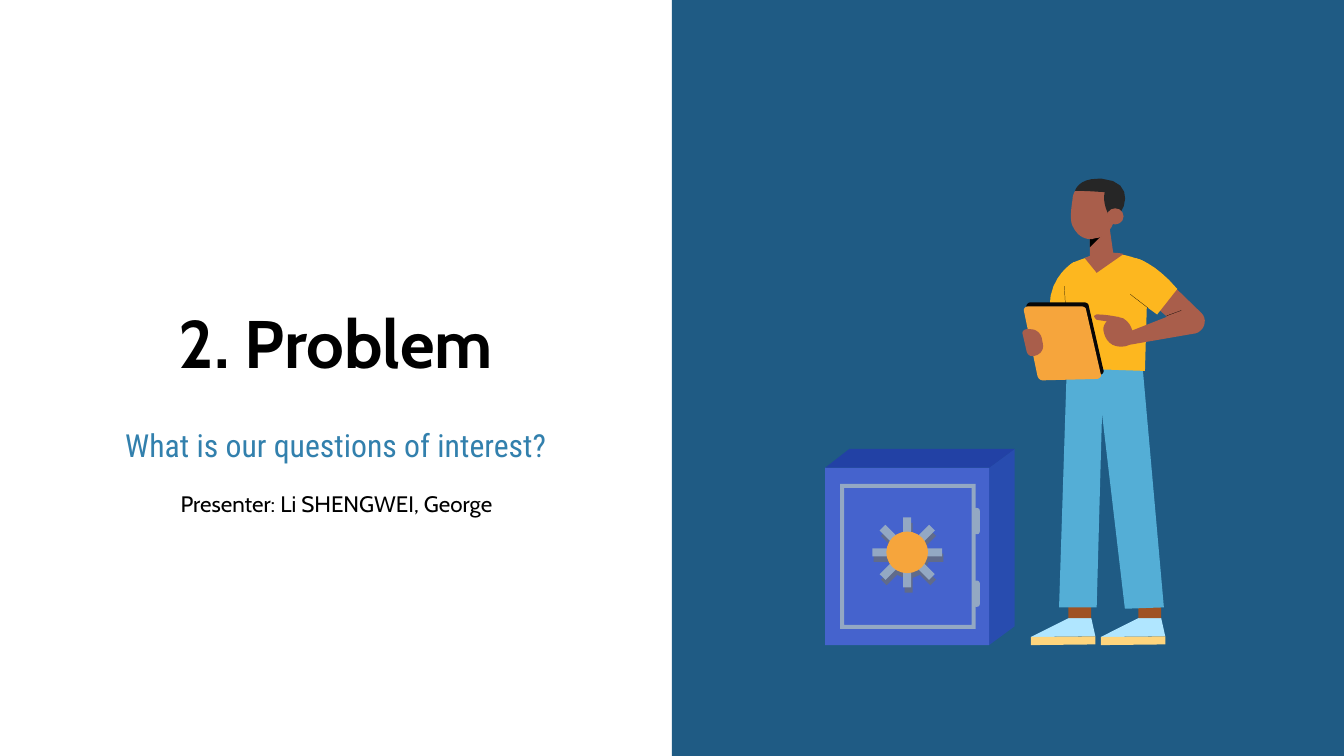
import math

import lxml.etree
import pptx
import pptx.dml.color
import pptx.enum.shapes
import pptx.enum.text
import pptx.oxml.ns
import pptx.util

RGB = pptx.dml.color.RGBColor
SHAPE = pptx.enum.shapes.MSO_SHAPE
ANCHOR = pptx.enum.text.MSO_ANCHOR

BLACK = RGB(0x00, 0x00, 0x00)
PANEL = RGB(0x1F, 0x5B, 0x84)
SUBTITLE = RGB(0x32, 0x80, 0xAD)
SKIN = RGB(0xA9, 0x5E, 0x4B)
HAIR = RGB(0x26, 0x26, 0x26)
SHIRT = RGB(0xFD, 0xB7, 0x1F)
TROUSERS = RGB(0x54, 0xAE, 0xD6)
ANKLE = RGB(0x9F, 0x52, 0x23)
SHOE = RGB(0xB0, 0xE6, 0xFF)
SOLE = RGB(0xFE, 0xD5, 0x7D)
TABLET_EDGE = RGB(0x07, 0x07, 0x07)
ORANGE = RGB(0xF6, 0xA5, 0x3C)
SAFE_FRONT = RGB(0x45, 0x63, 0xCD)
SAFE_SIDE = RGB(0x28, 0x4C, 0xAF)
SAFE_TOP = RGB(0x22, 0x41, 0xA5)
STEEL = RGB(0x93, 0xA8, 0xC3)
STEEL_SHADE = RGB(0x60, 0x6B, 0x8B)

# The grid has square cells: 100 columns by 56.25 rows
COLUMNS, ROWS = 100, 56.25
CELL = pptx.util.Inches(0.1)
CURVE_STEPS = 8


def cells(*values):
    return [round(value * CELL) for value in values]


def flatten(points):
    """Turn (x, y) corners and (x1, y1, x2, y2, x, y) curves into corners."""
    corners = [points[0]]
    for point in points[1:]:
        if len(point) == 2:
            corners.append(point)
            continue
        controls = [corners[-1], point[:2], point[2:4], point[4:]]
        for step in range(1, CURVE_STEPS + 1):
            t = step / CURVE_STEPS
            weights = [math.comb(3, k) * t**k * (1 - t) ** (3 - k) for k in range(4)]
            corners.append(tuple(sum(w * c[axis] for w, c in zip(weights, controls))
                                 for axis in (0, 1)))
    return corners


class Page:
    FRAME = {"word_wrap": True, "auto_size": pptx.enum.text.MSO_AUTO_SIZE.NONE,
             **{f"margin_{side}": CELL for side in ("left", "top", "right", "bottom")}}
    PARA = {"alignment": pptx.enum.text.PP_ALIGN.CENTER, "line_spacing": 1.0,
            "space_before": 0, "space_after": 0}

    def __init__(self, deck):
        self.slide = deck.slides.add_slide(deck.slide_layouts[0])
        self.shapes = self.slide.shapes

    def fill_text(self, box, place, text, font, size, color, anchor, bold=False):
        box.left, box.top, box.width, box.height = cells(*place)
        frame = box.text_frame
        frame.text = text
        para = frame.paragraphs[0]
        style = {"name": font, "size": pptx.util.Pt(size), "bold": bold}
        for target, values in ((frame, {**self.FRAME, "vertical_anchor": anchor}),
                               (para, self.PARA), (para.font, style)):
            for name, value in values.items():
                setattr(target, name, value)
        para.font.color.rgb = color

    def label(self, place, *style):
        self.fill_text(self.shapes.add_textbox(*cells(*place)), place, *style)

    def paint(self, shape, color):
        shape.shadow.inherit = False
        shape.fill.solid()
        shape.fill.fore_color.rgb = color
        shape.line.fill.background()
        return shape

    def preset(self, kind, place, color, rotation=0, adjust=None):
        shape = self.paint(self.shapes.add_shape(kind, *cells(*place)), color)
        shape.rotation = rotation
        if adjust is not None:
            shape.adjustments[0] = adjust

    def outline(self, color, *points):
        start, *rest = [tuple(cells(*corner)) for corner in flatten(points)]
        builder = self.shapes.build_freeform(*start)
        builder.add_line_segments(rest, close=True)
        self.paint(builder.convert_to_shape(), color)

    def crease(self, *ends):
        line = self.shapes.add_connector(pptx.enum.shapes.MSO_CONNECTOR.STRAIGHT, *cells(*ends))
        line.line.color.rgb = BLACK
        line.line.width = pptx.util.Pt(0.1)
        lxml.etree.SubElement(line._element.spPr, pptx.oxml.ns.qn("a:effectLst"))


def draw_legs(page):
    for x in (81.9, 76.7):
        page.outline(SHOE, (x + 4.5, 46), (x + 4.8, 47.35), (x, 47.4), (x + 2.8, 46))
        page.outline(SOLE, (x + 4.8, 47.35), (x + 4.8, 47.95), (x, 48), (x, 47.4))
        page.preset(SHAPE.RECTANGLE, (x + 2.8, 43.7, 1.7, 2.3), ANKLE)
    page.outline(TROUSERS, (79.4, 26.6), (83.8, 26.9), (85, 27.1), (86.6, 45.2),
                 (83.7, 45.3), (82, 30.8), (81.6, 45.2), (78.8, 45.2))


def draw_torso(page):
    page.outline(SHIRT, (79.9, 19.5), (80.2, 23.6), (78.1, 22.8),
                 (78.1, 20.5, 79.9, 19.5, 79.9, 19.5))
    page.outline(SHIRT, (82.3, 18.8), (82.6, 18.8), (83.3, 18.9, 84, 19, 84.7, 19.3),
                 (84.9, 19.3, 85, 19.4, 85.2, 19.5), (85.6, 19.7, 85.5, 20.2, 85.4, 20.7),
                 (85.2, 27.6), (79.4, 27.4), (79.1, 20.9),
                 (79.1, 20.2, 79.5, 19.6, 80.2, 19.4), (81, 19.1, 81.9, 18.8, 82.3, 18.8))
    page.crease(79.3, 23.3, 79.2, 21.3)
    page.outline(SKIN, (82.4, 18.8), (82.8, 18.8, 83.2, 18.8, 83.6, 18.9),
                 (81.6, 20.3), (80.7, 19.2), (80.7, 19.2, 81.6, 18.8, 82.3, 18.8))


def draw_tablet(page):
    for color, x, y in ((TABLET_EDGE, 76.3, 22.5), (ORANGE, 76.1, 22.8)):
        page.outline(color, (x + 4.4, y), (x + 4.5, y, x + 4.7, y + 0.1, x + 4.7, y + 0.2),
                     (x + 5.8, y + 5), (x + 5.9, y + 5.2, x + 5.7, y + 5.4, x + 5.5, y + 5.4),
                     (x + 1.5, y + 5.5), (x + 1.3, y + 5.5, x + 1.2, y + 5.4, x + 1.1, y + 5.2),
                     (x + 0.1, y + 0.4), (x, y + 0.2, x + 0.2, y, x + 0.4, y))
    page.outline(SKIN, (76.4, 24.5), (76.7, 24.5), (77.1, 24.5, 77.4, 24.8, 77.5, 25.1),
                 (77.6, 25.6), (77.7, 26.1, 77.3, 26.5, 76.8, 26.5),
                 (76.6, 26.5, 76.5, 26.4, 76.4, 26.2), (76.1, 24.9),
                 (76, 24.7, 76.2, 24.5, 76.4, 24.5))


def draw_arm(page):
    page.outline(SKIN, (85.3, 19.8), (85.6, 19.8, 86, 19.9, 86.2, 20.2), (89.4, 23.3),
                 (89.8, 23.7, 89.7, 24.4, 89.2, 24.7), (89.1, 24.8, 88.9, 24.8, 88.7, 24.8),
                 (88.5, 24.8, 88.2, 24.7, 88, 24.6), (84.6, 21.6),
                 (84.1, 21.1, 84.2, 20.4, 84.7, 20), (84.9, 19.8, 85.1, 19.8, 85.3, 19.8))
    page.outline(SHIRT, (84.5, 19.2), (84.5, 19.2, 85.9, 19.5, 87.6, 21.5),
                 (86.1, 23.4), (83.9, 21.8))
    page.crease(85.4, 22.9, 84.1, 21.9)
    # Hand, pointing finger and forearm
    page.outline(SKIN, (83, 23.6), (83.2, 23.6, 83.3, 23.6, 83.6, 23.7),
                 (84.4, 24.2, 84.3, 25.1, 84.3, 25.1), (84.3, 25.1, 84.4, 25.8, 83.4, 25.8),
                 (82.4, 25.8, 82.1, 24.9, 82.1, 24.4), (82.2, 24, 82.5, 23.6, 83, 23.6))
    page.outline(SKIN, (81.6, 23.4), (82.2, 23.4, 82.7, 23.5, 83.3, 23.6), (82.9, 24),
                 (81.6, 23.8), (81.5, 23.7, 81.4, 23.6, 81.4, 23.5),
                 (81.5, 23.5, 81.5, 23.4, 81.6, 23.4))
    page.outline(SKIN, (88.3, 23), (89, 24.8), (83.8, 25.7), (83.2, 25))
    page.crease(86.8, 23.5, 87.9, 23.1)


def draw_head(page):
    page.outline(SKIN, (82.5, 16.5), (82.9, 19.3), (81.1, 19.5), (81.1, 17.3))
    page.outline(BLACK, (82.2, 17.3), (81.1, 18.4), (81.1, 17.4))
    page.outline(SKIN, (81.3, 13.6), (82.2, 13.6, 83.1, 14.4, 83, 16),
                 (82.8, 17.5, 81.7, 17.7, 81.7, 17.7), (81.5, 17.7, 81.3, 17.8, 81.2, 17.8),
                 (80.5, 17.8, 80.1, 17.4, 79.8, 16.8), (79.6, 16.4, 79.7, 15.5, 79.8, 14.9),
                 (79.8, 14.4, 80.1, 13.9, 80.6, 13.7), (80.8, 13.6, 81.1, 13.6, 81.3, 13.6))
    page.outline(HAIR, (81.7, 13.3), (82, 13.3), (84.6, 13.5, 83.8, 16, 82.6, 16.5),
                 (82.5, 16), (82.5, 16, 82, 15.1, 82.2, 14.3),
                 (82.2, 14.3, 80.9, 14.2, 80, 14.2), (80, 14.2, 80.2, 13.3, 81.7, 13.3))
    page.preset(SHAPE.OVAL, (82.35, 15.5, 1.25, 1.2), SKIN)


def draw_safe(page):
    left, right, back = 61.4, 73.6, 75.5
    rear, top, bottom = 33.4, 34.8, 48
    page.outline(SAFE_SIDE, (back, rear), (right, top), (right, bottom), (back, 46.6))
    page.preset(SHAPE.RECTANGLE, (left, top, right - left, bottom - top), SAFE_FRONT)
    page.outline(SAFE_TOP, (63.2, rear), (left, top), (right, top), (back, rear))

    # Door frame and hinges
    page.preset(SHAPE.FRAME, (62.5, 36, 10.1, 10.8), STEEL, adjust=0.03)
    for y in (37.8, 43.2):
        page.preset(SHAPE.ROUNDED_RECTANGLE, (72.4, y, 0.5, 1.95), STEEL, adjust=0.4)

    # Wheel: shaded silhouette, four crossing bars, hub
    x, y, length, thickness = 67.5, 41.1, 5.2, 0.6
    half, reach, root = thickness / 2, length / 2, 1.5
    silhouette = []
    for turn in range(8):
        cos, sin = math.cos(turn * math.pi / 4), math.sin(turn * math.pi / 4)
        silhouette += [(x + 0.1 + u * cos - v * sin, y + 0.4 + u * sin + v * cos)
                       for u, v in ((root, -half), (reach, -half), (reach, half), (root, half))]
    page.outline(STEEL_SHADE, *silhouette)
    for angle in range(0, 180, 45):
        page.preset(SHAPE.RECTANGLE, (x - reach, y - half, length, thickness), STEEL, angle)
    page.preset(SHAPE.OVAL, (x - 1.55, y - 1.55, 3.1, 3.1), ORANGE)


def main():
    deck = pptx.Presentation()
    deck.slide_width, deck.slide_height = cells(COLUMNS, ROWS)
    page = Page(deck)

    # Right half
    page.preset(SHAPE.RECTANGLE, (COLUMNS / 2, 0, COLUMNS / 2, ROWS), PANEL)

    # Wording on the left half
    title, subtitle = page.slide.placeholders
    page.fill_text(title, (1.9, 21.7, 46.2, 7.7), "2. Problem", "Cabin", 36, BLACK,
                   ANCHOR.BOTTOM, True)
    page.fill_text(subtitle, (2.9, 30.7, 44.2, 5.3), "What is our questions of interest?",
                   "Roboto Condensed", 17, SUBTITLE, ANCHOR.TOP)

    # Person with a tablet beside a safe
    for draw in (draw_legs, draw_torso, draw_tablet, draw_arm, draw_head, draw_safe):
        draw(page)

    page.label((8.9, 35.3, 32.3, 4.4), "Presenter: Li SHENGWEI, George", "Cabin", 12, BLACK,
               ANCHOR.MIDDLE)
    deck.save("out.pptx")


if __name__ == "__main__":
    main()
